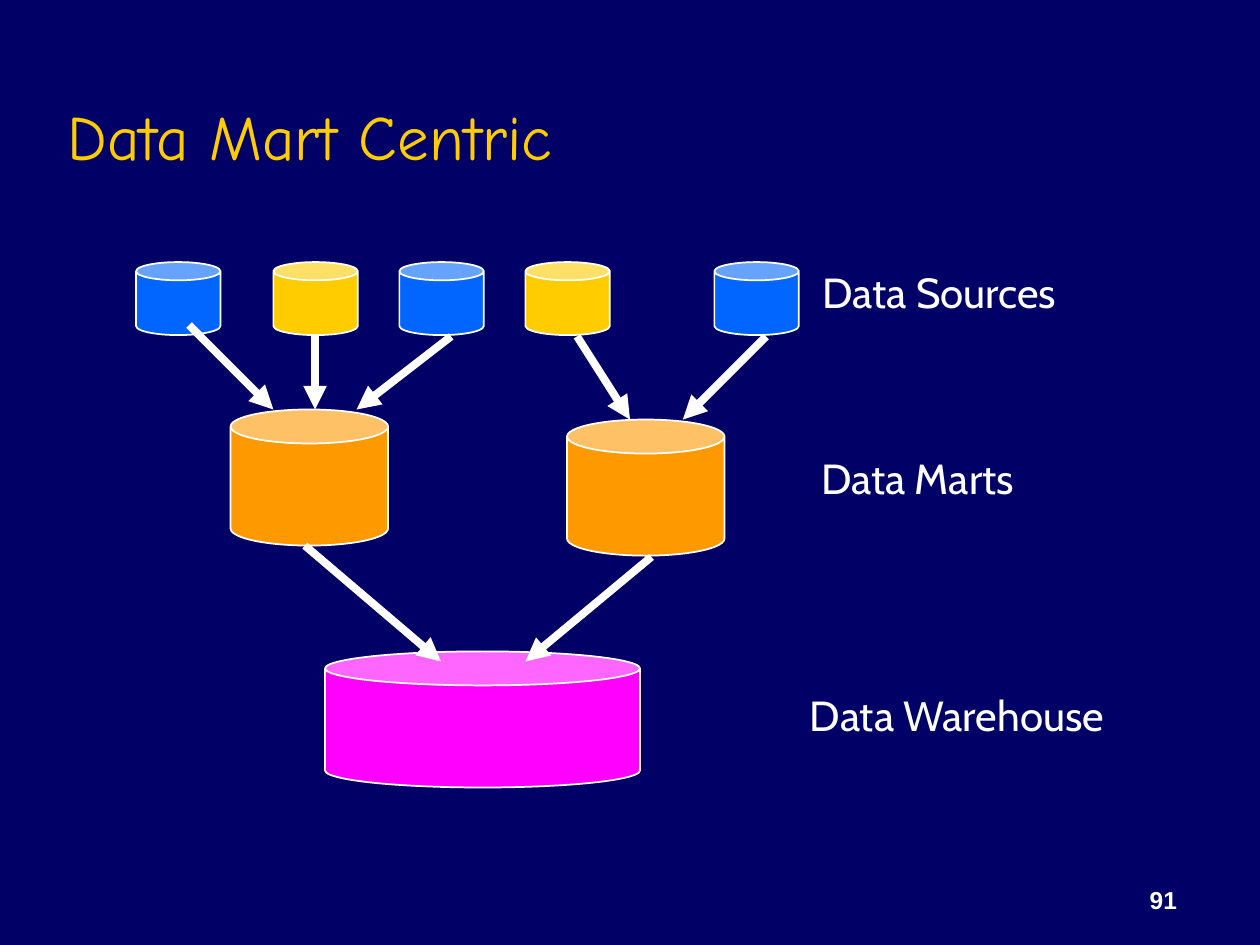
from dataclasses import dataclass

from lxml import etree
from pptx import Presentation
from pptx import util as u
from pptx.dml.color import RGBColor
from pptx.enum import shapes, text
from pptx.oxml.ns import qn


@dataclass(frozen=True)
class Theme:
    background: str = "000066"
    white: str = "FFFFFF"
    yellow: str = "FFCC00"
    blue: str = "0066FF"
    orange: str = "FF9900"
    magenta: str = "FF00FF"
    title_size: int = 36
    label_size: int = 24
    number_size: int = 14
    outline: float = 1
    arrow: float = 4.5


THEME = Theme()
TITLE = {"name": "Comic Neue", "size": u.Pt(THEME.title_size), "color": THEME.yellow}
LABEL = {"name": "Cabin", "size": u.Pt(THEME.label_size), "color": THEME.white}
NUMBER = {"name": "Arial", "size": u.Pt(THEME.number_size), "bold": True,
          "color": THEME.white}


def color(value):
    return RGBColor.from_string(value)


def add_text(slide, words, box, font_format, frame_format, align=text.PP_ALIGN.LEFT):
    shape = slide.shapes.add_textbox(*map(u.Inches, box))
    for name, value in frame_format.items():
        setattr(shape.text_frame, name, value)
    paragraph = shape.text_frame.paragraphs[0]
    paragraph.text = words
    paragraph.alignment = align
    for name, value in font_format.items():
        if name == "color":
            paragraph.font.color.rgb = color(value)
        else:
            setattr(paragraph.font, name, value)


def add_label(slide, words, left, top, width):
    add_text(slide, words, (left, top, width, 0.5), LABEL,
             {"word_wrap": False, "auto_size": text.MSO_AUTO_SIZE.SHAPE_TO_FIT_TEXT})


def add_store(slide, left, top, width, height, fill):
    shape = slide.shapes.add_shape(
        shapes.MSO_SHAPE.CAN, *map(u.Inches, (left, top, width, height)))
    shape.adjustments[0] = 0.25
    shape.shadow.inherit = False
    shape.fill.solid()
    shape.fill.fore_color.rgb = color(fill)
    shape.line.color.rgb = color(THEME.white)
    shape.line.width = u.Pt(THEME.outline)


def add_arrow(slide, start, end):
    connector = slide.shapes.add_connector(
        shapes.MSO_CONNECTOR.STRAIGHT, *map(u.Inches, (*start, *end)))
    connector.line.color.rgb = color(THEME.white)
    connector.line.width = u.Pt(THEME.arrow)
    etree.SubElement(connector.line._get_or_add_ln(), qn("a:tailEnd"), type="triangle")
    etree.SubElement(connector._element.spPr, qn("a:effectLst"))


def main():
    presentation = Presentation()
    presentation.slide_width, presentation.slide_height = u.Inches(10), u.Inches(7.5)
    slide = presentation.slides.add_slide(presentation.slide_layouts[6])
    slide.background.fill.solid()
    slide.background.fill.fore_color.rgb = color(THEME.background)

    # Page number and title
    bottom = {"word_wrap": True, "vertical_anchor": text.MSO_ANCHOR.BOTTOM}
    add_text(slide, "91", (7.36, 6.81, 2.08, 0.5), NUMBER, bottom,
             text.PP_ALIGN.RIGHT)
    add_text(slide, "Data Mart Centric", (0.44, 0.25, 8.5, 1.17), TITLE, bottom)

    # Data sources, data marts and the warehouse
    sources = ((1.08, THEME.blue), (2.17, THEME.yellow), (3.17, THEME.blue),
               (4.17, THEME.yellow), (5.67, THEME.blue))
    for left, fill in sources:
        add_store(slide, left, 2.08, 0.67, 0.58, fill)
    for left, top in ((1.83, 3.25), (4.5, 3.33)):
        add_store(slide, left, top, 1.25, 1.08, THEME.orange)
    add_store(slide, 2.58, 5.17, 2.5, 1.08, THEME.magenta)

    # Level labels
    add_label(slide, "Data Sources", 6.43, 2.07, 2.26)
    add_label(slide, "Data Marts", 6.42, 3.54, 1.93)
    add_label(slide, "Data Warehouse", 6.33, 5.42, 2.81)

    # Flow from sources to marts, then from marts to the warehouse
    flows = (
        ((1.5, 2.58), (2.17, 3.25)),
        ((2.5, 2.67), (2.5, 3.25)),
        ((3.58, 2.67), (2.83, 3.25)),
        ((4.58, 2.67), (5, 3.33)),
        ((6.08, 2.67), (5.42, 3.33)),
        ((2.42, 4.33), (3.5, 5.25)),
        ((5.17, 4.42), (4.17, 5.25)),
    )
    for start, end in flows:
        add_arrow(slide, start, end)

    presentation.save("out.pptx")


if __name__ == "__main__":
    main()
